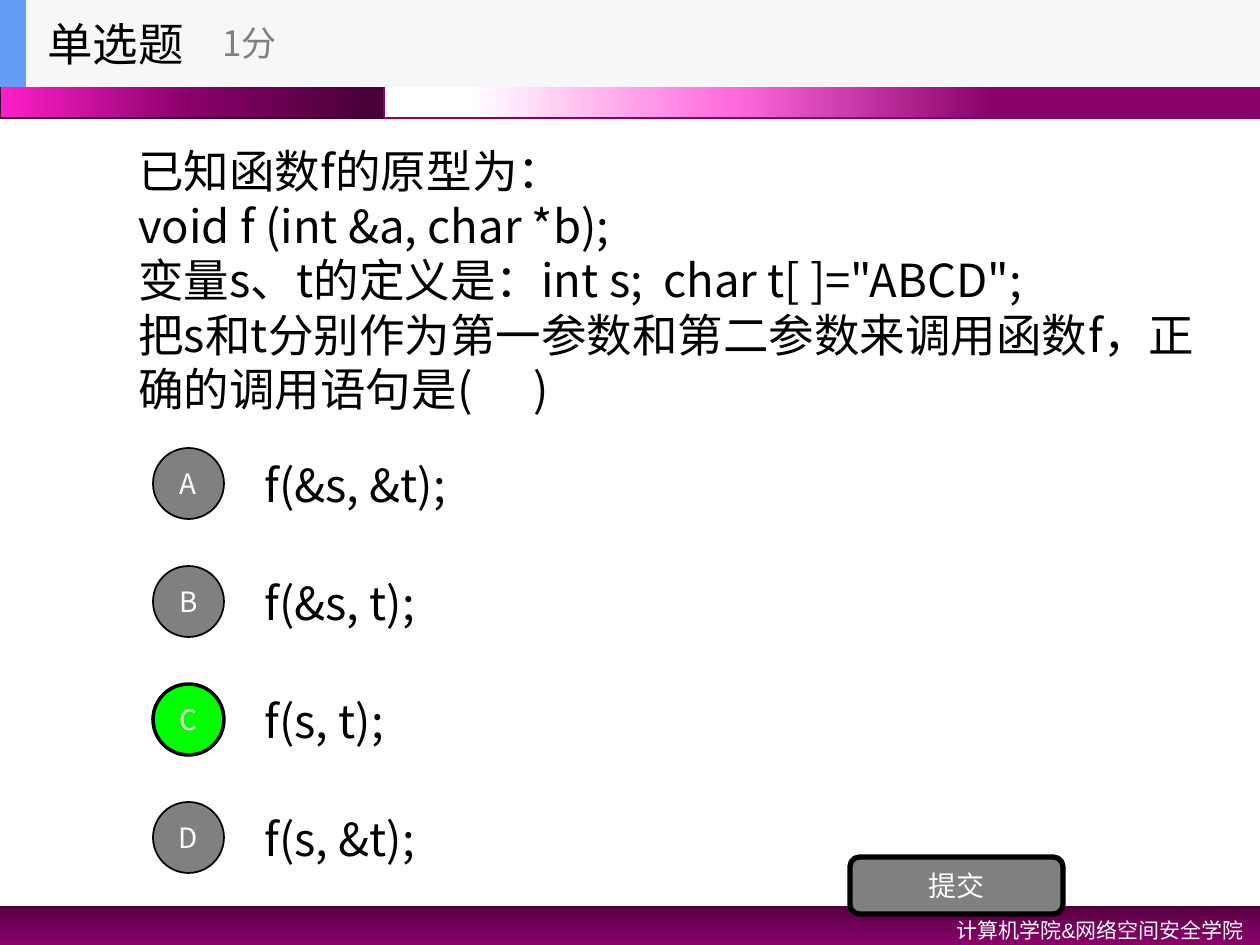
from lxml.etree import SubElement
from pptx import Presentation
from pptx.dml.color import RGBColor
from pptx.enum.shapes import MSO_SHAPE as SHAPE
from pptx.enum.text import MSO_ANCHOR as ANCHOR, PP_ALIGN as ALIGN
from pptx.oxml.ns import qn
from pptx.util import Emu, Pt

FONT = "Noto Sans CJK SC"
BLACK, WHITE, GRAY, GREEN = "000000", "FFFFFF", "808080", "00FF00"
DARK, PURPLE = "440034", "880068"


def px(n):
    return Emu(round(n * 914400 / 126))


def rgb(color):
    return RGBColor.from_string(color)


class QuizSlide:
    """Draws quiz elements on one slide in a shared style."""

    def __init__(self, prs):
        self.slide = prs.slides.add_slide(prs.slide_layouts[6])

    def set_text(self, sp, lines, size, color, align=ALIGN.LEFT, anchor=ANCHOR.MIDDLE,
                 font=FONT, spacing=None):
        tf = sp.text_frame
        tf.word_wrap = True
        tf.vertical_anchor = anchor
        tf.text = lines
        for p in tf.paragraphs:
            p.alignment = align
            p.line_spacing = spacing
            p.font.size = Pt(size)
            p.font.name = font
            p.font.color.rgb = rgb(color)
            props = p._p.pPr.find(qn("a:defRPr"))
            SubElement(props, qn("a:ea"), typeface=FONT)

    def text(self, box, lines, size=26, color=BLACK, **style):
        sp = self.slide.shapes.add_textbox(*map(px, box))
        self.set_text(sp, lines, size, color, **style)

    def shape(self, box, fill=None, kind=SHAPE.RECTANGLE, line=None, width=1):
        sp = self.slide.shapes.add_shape(kind, *map(px, box))
        sp.shadow.inherit = False
        if fill:
            sp.fill.solid()
            sp.fill.fore_color.rgb = rgb(fill)
        if line:
            sp.line.color.rgb = rgb(line)
            sp.line.width = Pt(width)
        else:
            sp.line.fill.background()
        return sp

    def gradient(self, box, stops, angle, line=None):
        sp = self.shape(box, line=line)
        sp.fill.gradient()
        sp.fill.gradient_angle = angle
        stop_list = sp._element.spPr.find(f".//{qn('a:gsLst')}")
        for old in list(stop_list):
            stop_list.remove(old)
        for pos, color in stops:
            gs = SubElement(stop_list, qn("a:gs"), pos=str(pos * 1000))
            SubElement(gs, qn("a:srgbClr"), val=color)

    def button(self, box, label, kind, fill=GRAY, width=1):
        sp = self.shape(box, fill, kind, BLACK, width)
        tf = sp.text_frame
        tf.margin_left = tf.margin_right = 0
        self.set_text(sp, label, 16, WHITE, align=ALIGN.CENTER)

    def option(self, index, label, answer, correct):
        top = 440 + 118 * index
        self.text((252, top, 882, 88), answer)
        fill, width = (GREEN, 2) if correct else (GRAY, 1)
        self.button((153, top + 8, 71, 71), label, SHAPE.OVAL, fill, width)


def main():
    prs = Presentation()
    prs.slide_width, prs.slide_height = px(1260), px(945)
    s = QuizSlide(prs)

    s.gradient((0, 906, 1260, 39), [(0, "51003E"), (50, "730058"), (100, PURPLE)], 270)
    s.gradient((0, 0, 384, 118), [(0, DARK), (50, PURPLE), (100, "FF1FCA")], 180, DARK)
    s.gradient((384, 0, 876, 118), [(30, PURPLE), (60, "FF69DC"), (90, WHITE)], 180, PURPLE)
    s.text((809, 906, 447, 40), "计算机学院&网络空间安全学院", 12, WHITE,
           align=ALIGN.RIGHT, anchor=ANCHOR.TOP, font="Arial", spacing=1.2)

    s.text((126, 132, 1099, 295), "\n".join([
        "已知函数f的原型为：",
        "void f (int &a, char *b);",
        '变量s、t的定义是：int s;  char t[ ]="ABCD";',
        "把s和t分别作为第一参数和第二参数来调用函数f，正确的调用语句是(      )",
    ]))
    answers = ["f(&s, &t);", "f(&s, t);", "f(s, t);", "f(s, &t);"]
    for i, (label, answer) in enumerate(zip("ABCD", answers)):
        s.option(i, label, answer, label == "C")
    s.button((850, 857, 213, 57), "提交", SHAPE.ROUNDED_RECTANGLE, width=3)

    s.shape((0, 0, 1260, 87), "F6F7F8")
    s.shape((0, 0, 26, 87), "639EF4")
    s.text((35, 0, 262, 87), "单选题")
    s.text((210, 15, 315, 71), "1分", 20, GRAY, anchor=ANCHOR.TOP)

    prs.save("out.pptx")


if __name__ == "__main__":
    main()
